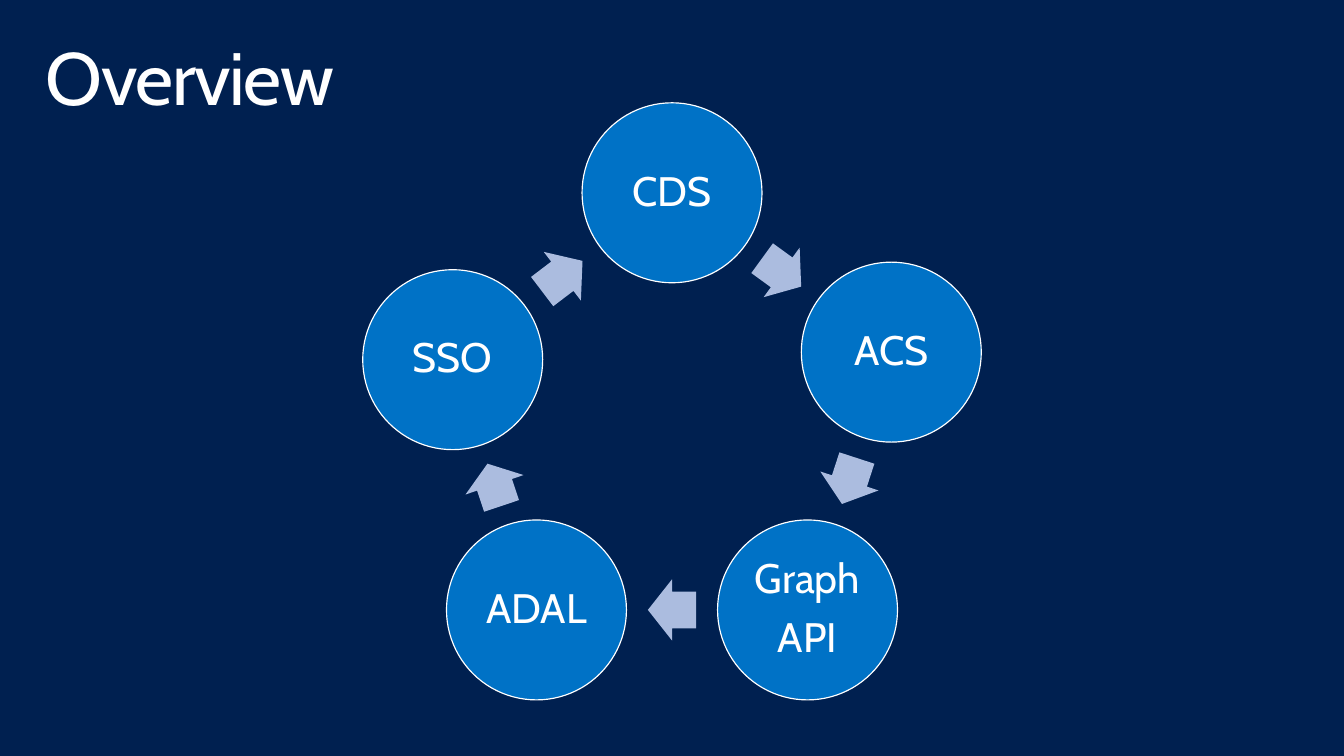
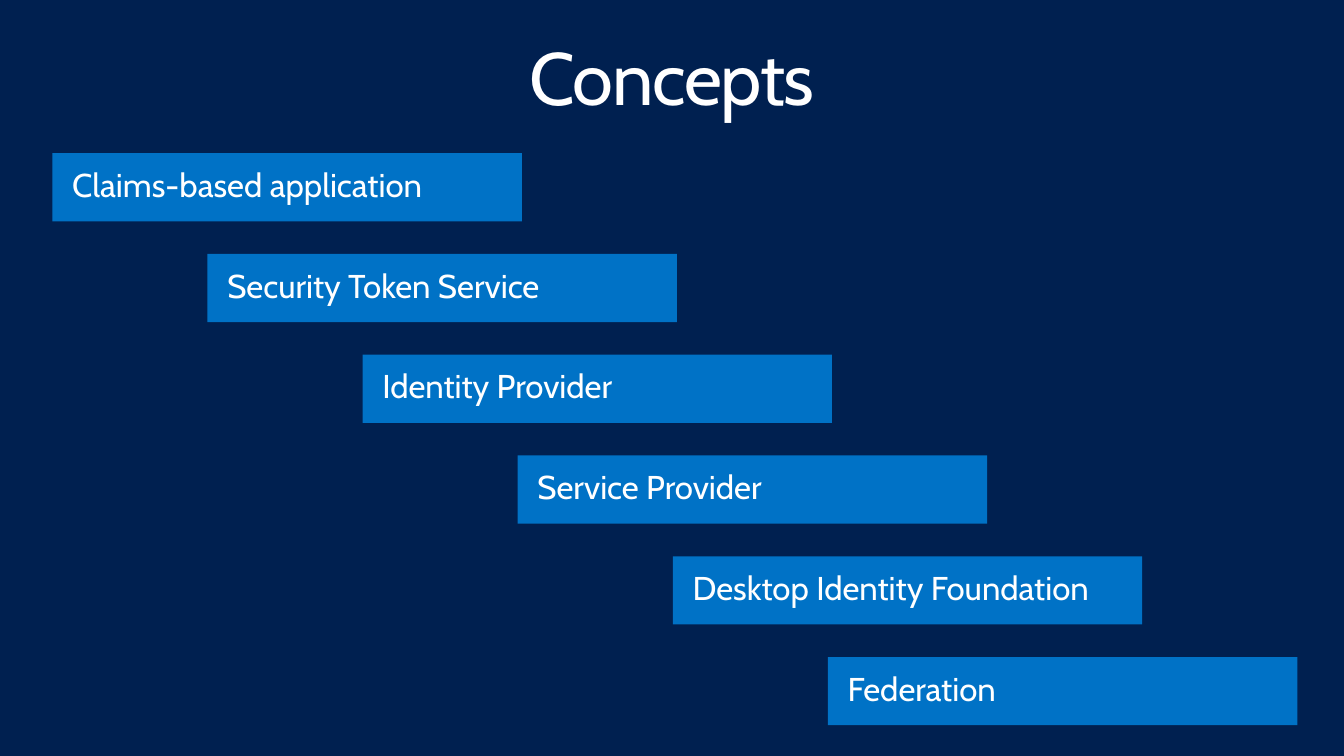
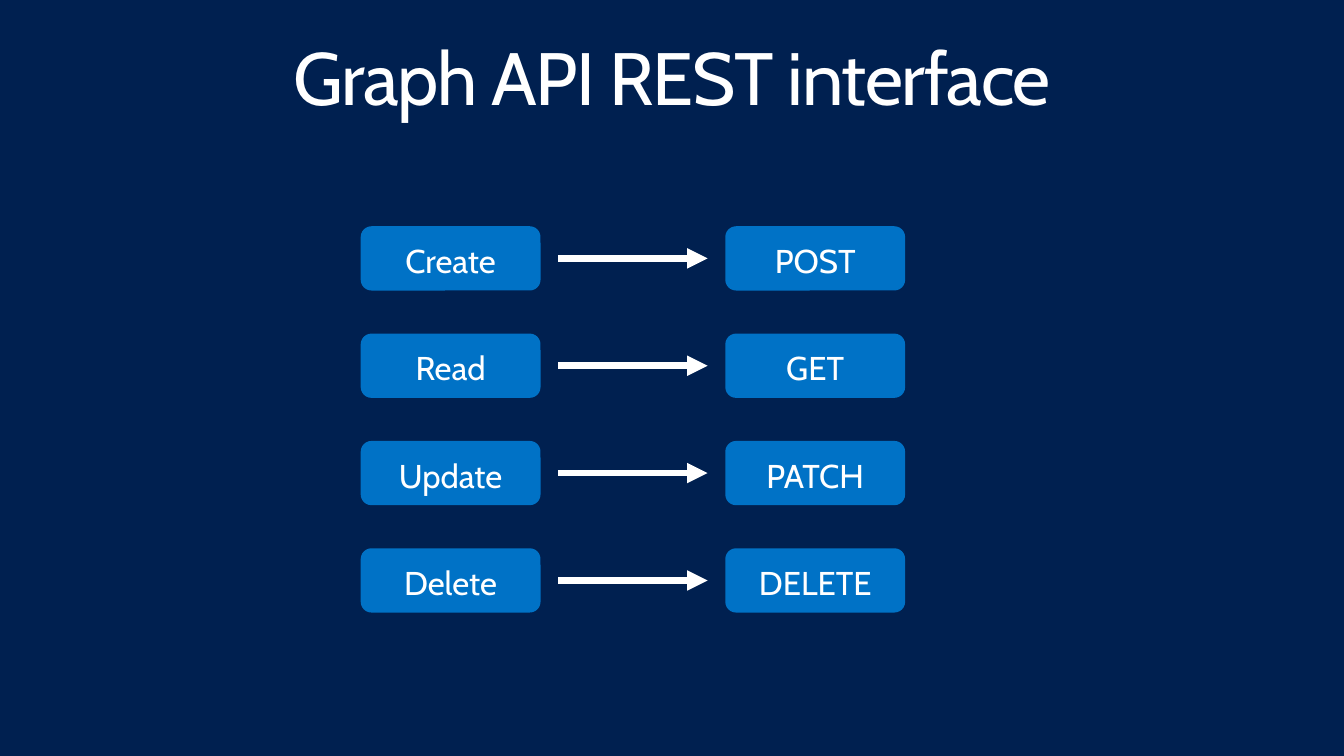
from dataclasses import dataclass
from math import atan2, cos, degrees, hypot, radians, sin

from lxml.etree import SubElement
from pptx import Presentation
from pptx.dml.color import RGBColor
from pptx.enum.dml import MSO_LINE
from pptx.enum.shapes import MSO_CONNECTOR as Connector, MSO_SHAPE as Preset
from pptx.enum.text import MSO_ANCHOR as Anchor, PP_ALIGN as Align
from pptx.oxml.ns import qn
from pptx.util import Inches, Length, Pt

# Shared look
NAVY = RGBColor(0x00, 0x20, 0x50)
BLUE = RGBColor(0x00, 0x72, 0xC6)
PALE = RGBColor(0xAB, 0xBC, 0xDF)
WHITE = RGBColor(0xFF, 0xFF, 0xFF)
FONT = "Cabin"
SLIDE_WIDTH, SLIDE_HEIGHT = Inches(13.6), Inches(7.65)


@dataclass(frozen=True)
class TextStyle:
    size: float
    align: Align = Align.LEFT
    anchor: Anchor = Anchor.TOP
    side_inset: float = 0.2
    end_inset: float = 0.16
    space_after: float = 0
    spacing: int = 0  # hundredths of a point between letters


@dataclass(frozen=True)
class Area:
    left: Length
    top: Length
    width: Length
    height: Length


@dataclass(frozen=True)
class Node:
    lines: tuple[str, ...]
    drop: float = 0  # percent of slide height below its place on the ring


@dataclass(frozen=True)
class Operation:
    action: str
    verb: str


TITLE_LEFT = TextStyle(54, side_inset=0.16, end_inset=0.1, spacing=-100)
TITLE_CENTER = TextStyle(54, Align.CENTER, side_inset=0.16, end_inset=0.1,
                         spacing=-100)
NODE_TEXT = TextStyle(30, Align.CENTER, Anchor.MIDDLE, 0.04, 0.04, 10.5)
STEP_TEXT = TextStyle(24, space_after=6)
BUTTON_TEXT = TextStyle(24, Align.CENTER)

NODES = (Node(("CDS",)), Node(("ACS",)), Node(("Graph", "API")),
         Node(("ADAL",)), Node(("SSO",), drop=1))
CONCEPTS = ("Claims-based application", "Security Token Service",
            "Identity Provider", "Service Provider",
            "Desktop Identity Foundation", "Federation")
OPERATIONS = (Operation("Create", "POST"), Operation("Read", "GET"),
              Operation("Update", "PATCH"), Operation("Delete", "DELETE"))


def across(percent: float) -> Length:
    """Share of the slide's width."""
    return Length(round(SLIDE_WIDTH * percent / 100))


def down(percent: float) -> Length:
    """Share of the slide's height."""
    return Length(round(SLIDE_HEIGHT * percent / 100))


def centered(x: float, y: float, width: float, height: float) -> Area:
    return Area(*(Length(round(value)) for value in
                  (x - width / 2, y - height / 2, width, height)))


def write(box, lines: tuple[str, ...], style: TextStyle) -> None:
    frame = box.text_frame
    frame.word_wrap = True
    frame.vertical_anchor = style.anchor
    frame.margin_left = frame.margin_right = Inches(style.side_inset)
    frame.margin_top = frame.margin_bottom = Inches(style.end_inset)
    for index, line in enumerate(lines):
        para = frame.add_paragraph() if index else frame.paragraphs[0]
        para.alignment = style.align
        para.line_spacing = 0.9
        para.space_after = Pt(style.space_after)
        span = para.add_run()
        span.text = line
        span.font.name = FONT
        span.font.size = Pt(style.size)
        span.font.color.rgb = WHITE
        if style.spacing:
            span.font._element.set("spc", str(style.spacing))


def add_preset(page, kind: Preset, area: Area, fill: RGBColor = BLUE):
    shape = page.shapes.add_shape(kind, area.left, area.top,
                                  area.width, area.height)
    shape.shadow.inherit = False
    shape.fill.solid()
    shape.fill.fore_color.rgb = fill
    shape.line.fill.background()
    return shape


def add_arrow(page, start: Length, end: Length, y: Length) -> None:
    arrow = page.shapes.add_connector(Connector.STRAIGHT, start, y, end, y)
    arrow.line.color.rgb = WHITE
    arrow.line.width = Pt(5)
    arrow.line.dash_style = MSO_LINE.SOLID
    SubElement(arrow.line._get_or_add_ln(), qn("a:tailEnd"), type="triangle")
    SubElement(arrow._element.spPr, qn("a:effectLst"))


def add_page(deck, title: str, style: TextStyle):
    page = deck.slides.add_slide(deck.slide_layouts[6])
    page.background.fill.solid()
    page.background.fill.fore_color.rgb = NAVY
    box = page.shapes.add_textbox(across(2.21), down(4.18),
                                  across(95.59), down(13.07))
    write(box, (title,), style)
    return page


def draw_overview(deck) -> None:
    page = add_page(deck, "Overview", TITLE_LEFT)
    radius, diameter = down(30.5), down(23.8)

    # Circles, evenly spaced clockwise from the top
    centers: list[tuple[float, float]] = []
    for index, node in enumerate(NODES):
        angle = radians(360 / len(NODES) * index)
        x = across(50) + radius * sin(angle)
        y = down(56 + node.drop) - radius * cos(angle)
        centers.append((x, y))
        circle = add_preset(page, Preset.OVAL,
                            centered(x, y, diameter, diameter))
        circle.line.color.rgb = WHITE
        circle.line.width = Pt(0.85)
        write(circle, node.lines, NODE_TEXT)

    # Block arrows halfway between neighbours
    for (x1, y1), (x2, y2) in zip(centers, centers[1:] + centers[:1]):
        gap = hypot(x2 - x1, y2 - y1) - diameter
        area = centered((x1 + x2) / 2, (y1 + y2) / 2, 0.53 * gap, down(8.1))
        arrow = add_preset(page, Preset.RIGHT_ARROW, area, PALE)
        arrow.adjustments[0], arrow.adjustments[1] = 0.6, 0.5
        arrow.rotation = degrees(atan2(y2 - y1, x2 - x1)) % 360


def draw_concepts(deck) -> None:
    page = add_page(deck, "Concepts", TITLE_CENTER)
    # Staircase of bars
    for index, concept in enumerate(CONCEPTS):
        area = Area(across(3.9 + 11.54 * index), down(20.26 + 13.33 * index),
                    across(34.93), down(9.02))
        write(add_preset(page, Preset.RECTANGLE, area), (concept,), STEP_TEXT)


def draw_interface(deck) -> None:
    page = add_page(deck, "Graph API REST interface", TITLE_CENTER)
    left, right, width, gap = across(26.84), across(53.97), across(13.38), across(1.32)
    height = down(8.5)
    # One row per operation: action, arrow, verb
    for index, operation in enumerate(OPERATIONS):
        top = down(29.93 + 14.2 * index)
        for x, label in ((left, operation.action), (right, operation.verb)):
            button = add_preset(page, Preset.ROUNDED_RECTANGLE,
                                Area(x, top, width, height))
            write(button, (label,), BUTTON_TEXT)
        add_arrow(page, Length(left + width + gap), Length(right - gap),
                  Length(top + height // 2))


def main() -> None:
    deck = Presentation()
    deck.slide_width, deck.slide_height = SLIDE_WIDTH, SLIDE_HEIGHT
    draw_overview(deck)
    draw_concepts(deck)
    draw_interface(deck)
    deck.save("out.pptx")


if __name__ == "__main__":
    main()
